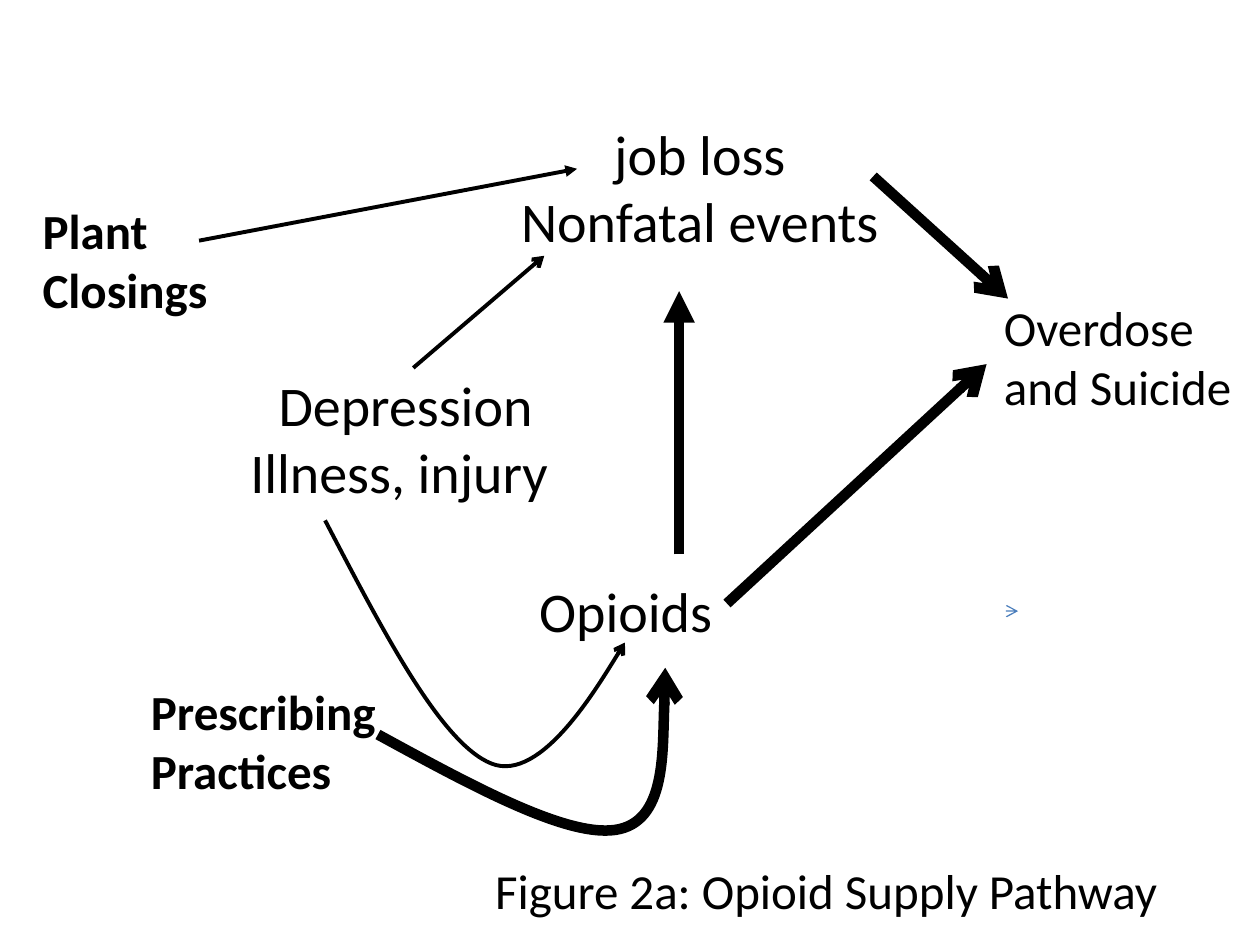
"""Build the opioid supply pathway slide."""
import pptx
import pptx.dml.color
import pptx.enum.shapes
import pptx.enum.text
import pptx.util
from lxml import etree
from pptx.oxml.ns import qn

SCALE = 9144
BLACK = pptx.dml.color.RGBColor(0x00, 0x00, 0x00)
BLUE = pptx.dml.color.RGBColor(0x4B, 0x7E, 0xBC)
LEFT = pptx.enum.text.PP_ALIGN.LEFT
MID = pptx.enum.text.PP_ALIGN.CENTER


def px(*nums):
    return [pptx.util.Emu(num * SCALE) for num in nums]


def write(shape, text, size=28, bold=False, align=LEFT, wrap=True):
    frame = shape.text_frame
    frame.text = text
    frame.word_wrap = wrap
    frame.vertical_anchor = pptx.enum.text.MSO_ANCHOR.TOP
    frame.auto_size = pptx.enum.text.MSO_AUTO_SIZE.SHAPE_TO_FIT_TEXT
    for para in frame.paragraphs:
        para.alignment = align
        for run in para.runs:
            font = run.font
            font.name = "Calibri"
            font.size = pptx.util.Pt(size)
            font.bold = bold
            font.color.rgb = BLACK


class Page:
    def __init__(self, slide, color=BLACK):
        self.slide = slide
        self.color = color

    def title(self, box, text, **style):
        shape = self.slide.shapes.title
        shape.left, shape.top, shape.width, shape.height = px(*box)
        write(shape, text, **style)

    def label(self, box, text, **style):
        write(self.slide.shapes.add_textbox(*px(*box)), text, **style)

    def stroke(self, shape, width, head, color=None):
        line = shape.line
        line.color.rgb = color or self.color
        line.width = pptx.util.Pt(width)
        edge = shape._element.spPr.find(qn("a:ln"))
        etree.SubElement(edge, qn("a:tailEnd"), type=head)

    def arrow(self, start, end, width=6, head="arrow", color=None):
        kind = pptx.enum.shapes.MSO_CONNECTOR.STRAIGHT
        line = self.slide.shapes.add_connector(kind, *px(*start, *end))
        self.stroke(line, width, head, color)
        etree.SubElement(line._element.spPr, qn("a:effectLst"))

    def curve(self, start, points, width):
        form = self.slide.shapes.build_freeform(*start, scale=SCALE)
        form.add_line_segments(points, close=False)
        shape = form.convert_to_shape()
        shape.fill.background()
        shape.shadow.inherit = False
        self.stroke(shape, width, "arrow")
        legs = list(shape._element.iter(qn("a:lnTo")))
        for i in range(0, len(legs), 3):
            first, *rest = legs[i:i + 3]
            first.tag = qn("a:cubicBezTo")
            for leg in rest:
                first.append(leg[0])
                leg.getparent().remove(leg)


def main():
    deck = pptx.Presentation()
    deck.slide_width, deck.slide_height = px(1000, 750)
    page = Page(deck.slides.add_slide(deck.slide_layouts[5]))

    page.title((383, 678, 582, 57), "Figure 2a: Opioid Supply Pathway")
    page.label((402, 90, 307, 118), "job loss\nNonfatal events",
               size=32, align=MID, wrap=False)
    page.label((787, 231, 213, 104), "Overdose and Suicide")
    page.label((172, 289, 300, 118), "Depression\nIllness, injury ",
               size=32, align=MID)
    page.label((418, 453, 169, 64), "Opioids", size=32, wrap=False)
    page.label((24, 154, 203, 104), "Plant Closings", bold=True)
    page.label((110, 536, 233, 104), "Prescribing Practices", bold=True)

    page.arrow((328, 292), (432, 203), width=2.25)
    page.arrow((577, 479), (783, 289))
    page.arrow((693, 140), (800, 237))
    page.arrow((802, 485), (808, 485), width=0.75, color=BLUE)
    page.arrow((539, 440), (539, 231), head="triangle")
    page.arrow((158, 191), (458, 134), width=2.25, head="triangle")

    page.curve((258, 413), [(304, 501), (350, 590), (390, 606),
                            (430, 622), (496, 510), (496, 510)], 2.25)
    page.curve((300, 583), [(377, 625), (454, 667), (492, 658),
                            (530, 649), (528, 530), (528, 530)], 6)
    deck.save("out.pptx")


if __name__ == "__main__":
    main()
